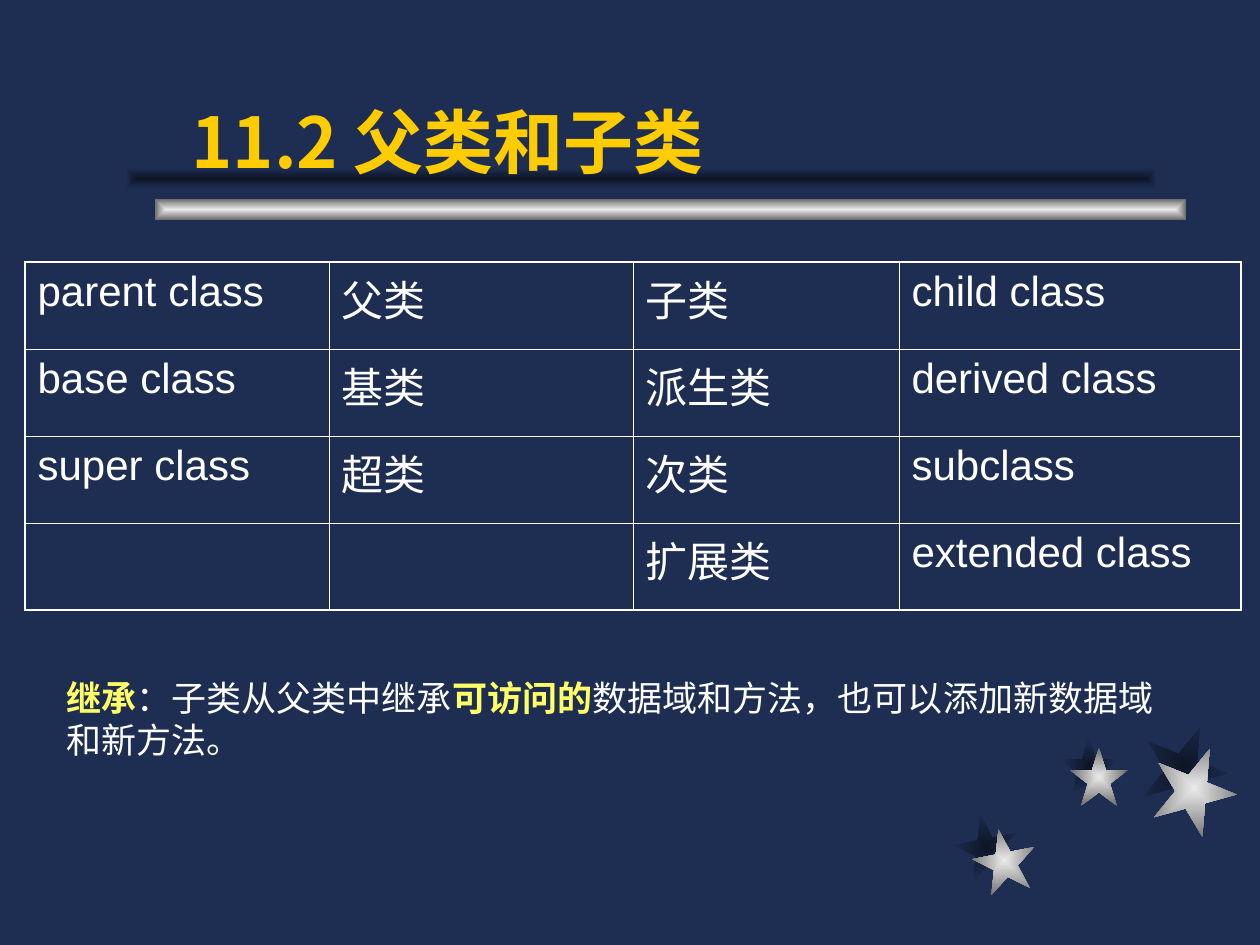
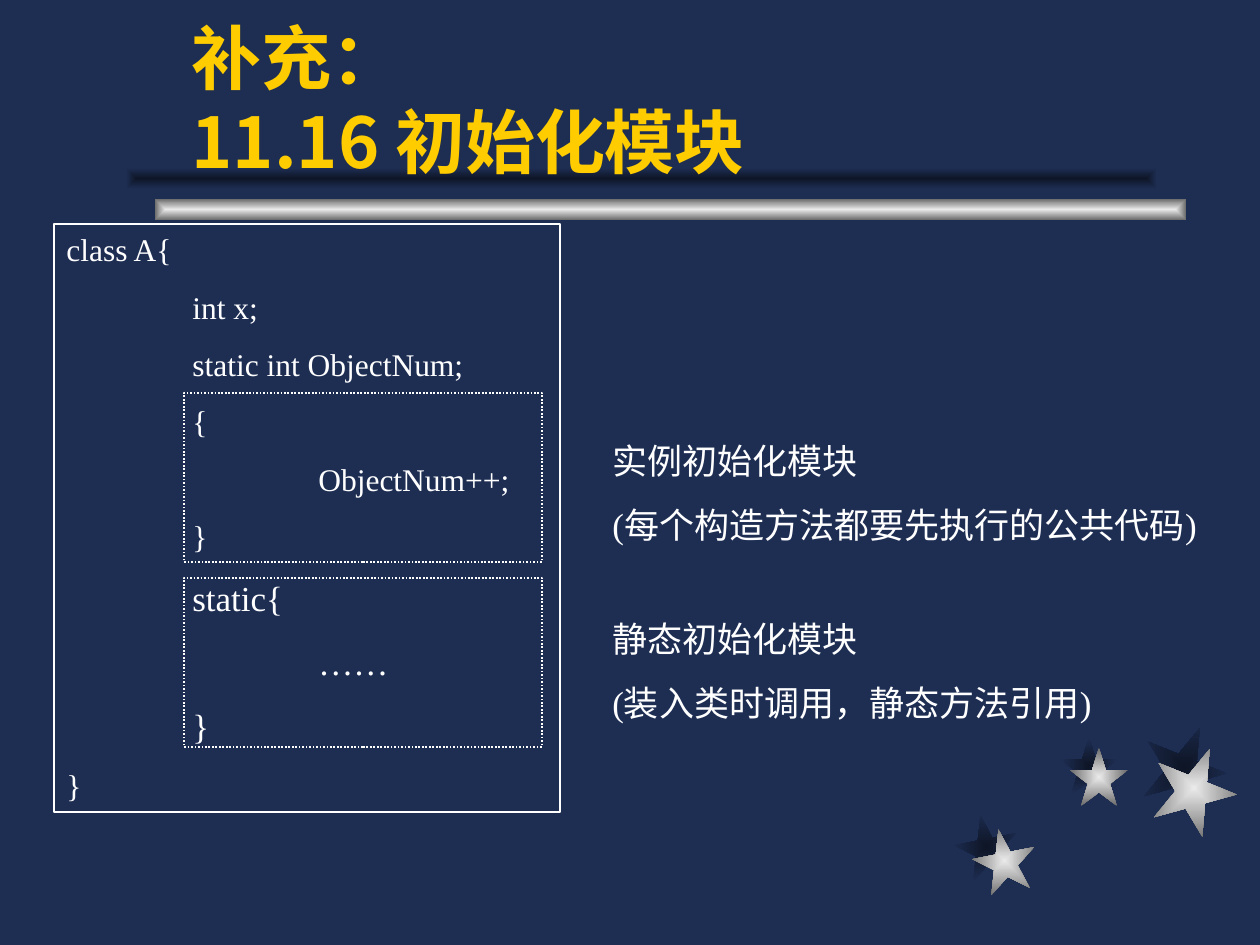
"""Build two dark blue slides on parent classes, child classes and initialization blocks."""
from lxml import etree
from pptx import Presentation, util as u
from pptx.dml.color import RGBColor
from pptx.enum import dml, shapes, text
from pptx.oxml import parse_xml
from pptx.oxml.ns import nsdecls, qn

PX = 7257
NAVY, SHADE, SILVER, GREY = "1E2E53", "0E1526", "EAEAEA", "6C6C6C"
WHITE, GOLD, YELLOW = "FFFFFF", "FFCC00", "FFFF66"
SANS, SERIF, CJK = "Arial", "Times New Roman", "Noto Sans CJK SC"


def rgb(value):
    return RGBColor.from_string(value)


def add_run(p, words, size, font=SERIF, color=WHITE, bold=False):
    r = p.add_run()
    r.text = words
    r.font.size, r.font.name, r.font.bold = u.Pt(size), font, bold
    r.font.color.rgb = rgb(color)
    if font == CJK:
        etree.SubElement(r.font._element, qn("a:ea"), typeface=CJK)


prs = Presentation()
prs.slide_width, prs.slide_height = u.Inches(10), u.Inches(7.5)
layout = prs.slide_layouts[5]
layout.background.fill.solid()
layout.background.fill.fore_color.rgb = rgb(NAVY)

titles = [["11.2 父类和子类"], ["补充：", "11.16 初始化模块"]]
for lines in titles:
    s = prs.slides.add_slide(layout)
    sp = s.shapes.title
    sp.left, sp.top, sp.width, sp.height = 179 * PX, 32 * PX, 987 * PX, 157 * PX
    tf = sp.text_frame
    tf.word_wrap, tf.auto_size = True, text.MSO_AUTO_SIZE.NONE
    tf.vertical_anchor = text.MSO_ANCHOR.BOTTOM
    p = tf.paragraphs[0]
    p.alignment = text.PP_ALIGN.LEFT
    for i, line in enumerate(lines):
        if i:
            p.add_line_break()
        add_run(p, line, 40, CJK, GOLD, True)
classes, blocks = prs.slides

STAR, BAR = shapes.MSO_SHAPE.STAR_5_POINT, shapes.MSO_SHAPE.RECTANGLE
dark, light = (SHADE, NAVY), (SILVER, GREY)
decor = [
    (STAR, 955, 815, 63, 63, 349, dark),
    (STAR, 1060, 737, 58, 58, 0, dark),
    (STAR, 1142, 725, 84, 84, 22, dark),
    (STAR, 973, 829, 63, 63, 349, light),
    (STAR, 1070, 748, 58, 58, 0, light),
    (STAR, 1152, 746, 84, 84, 22, light),
    (BAR, 155, 199, 1031, 21, 0, light),
    (BAR, 126, 168, 1031, 21, 0, dark),
]
for kind, x, y, w, h, turn, (inner, outer) in decor:
    sp = classes.shapes.add_shape(kind, x * PX, y * PX, w * PX, h * PX)
    sp.rotation = turn
    sp.line.fill.background()
    sp.shadow.inherit = False
    geometry = sp.element.spPr.find(qn("a:prstGeom"))
    geometry.addnext(parse_xml(
        f'<a:gradFill {nsdecls("a")} rotWithShape="1"><a:gsLst>'
        f'<a:gs pos="0"><a:srgbClr val="{inner}"/></a:gs>'
        f'<a:gs pos="100000"><a:srgbClr val="{outer}"/></a:gs></a:gsLst>'
        '<a:path path="rect"><a:fillToRect l="50000" t="50000" r="50000" b="50000"/></a:path>'
        '</a:gradFill>'))
    layout.shapes.element.append(sp.element)

terms = [
    ["parent class", "父类", "子类", "child class"],
    ["base class", "基类", "派生类", "derived class"],
    ["super class", "超类", "次类", "subclass"],
    ["", "", "扩展类", "extended class"],
]
widths = [304, 304, 266, 342]
row_height = 87
table = classes.shapes.add_table(4, 4, 25 * PX, 262 * PX, sum(widths) * PX, 4 * row_height * PX).table
table.first_row = table.horz_banding = False
for column, width in zip(table.columns, widths):
    column.width = width * PX
for i, row in enumerate(terms):
    table.rows[i].height = row_height * PX
    for j, term in enumerate(row):
        cell = table.cell(i, j)
        tcPr = cell._tc.get_or_add_tcPr()
        for side, outside in (("L", j == 0), ("R", j == 3), ("T", i == 0), ("B", i == 3)):
            tcPr.append(parse_xml(
                f'<a:ln{side} {nsdecls("a")} w="{u.Pt(1.08 if outside else 0.45)}">'
                f'<a:solidFill><a:srgbClr val="{WHITE}"/></a:solidFill></a:ln{side}>'))
        cell.fill.background()
        if term:
            add_run(cell.text_frame.paragraphs[0], term, 24, SANS)

tf = classes.shapes.add_textbox(54 * PX, 670 * PX, 1121 * PX, 97 * PX).text_frame
tf.word_wrap = True
p = tf.paragraphs[0]
for words, strong in [("继承", True), ("：子类从父类中继承", False), ("可访问的", True),
                      ("数据域和方法，也可以添加新数据域和新方法。", False)]:
    add_run(p, words, 20, color=YELLOW if strong else WHITE, bold=strong)

tab_step = 126
code = [
    ("class A{", 18), ("\tint x;", 18), ("\tstatic int ObjectNum;", 18),
    ("\t{", 18), ("\t\tObjectNum++;", 18), ("\t}", 18),
    ("\tstatic{", 20), ("\t\t……", 20), ("\t}", 20), ("}", 18),
]
instance_note = [("实例初始化模块", 20), ("(每个构造方法都要先执行的公共代码)", 20)]
static_note = [("静态初始化模块", 20), ("(装入类时调用，静态方法引用)", 20)]
boxes = [
    (54, 224, 506, 588, "solid", code),
    (184, 393, 358, 169, "dotted", []),
    (184, 578, 358, 169, "dotted", []),
    (600, 433, 615, 161, None, instance_note),
    (600, 611, 546, 118, None, static_note),
]
for x, y, w, h, border, lines in boxes:
    at = x * PX, y * PX, w * PX, h * PX
    if border:
        sp = blocks.shapes.add_shape(BAR, *at)
        sp.shadow.inherit = False
        sp.fill.background()
        sp.line.color.rgb = rgb(WHITE)
        sp.line.width = u.Pt(1)
        if border == "dotted":
            sp.line.dash_style = dml.MSO_LINE.ROUND_DOT
    else:
        sp = blocks.shapes.add_textbox(*at)
    tf = sp.text_frame
    tf.word_wrap = True
    tf.vertical_anchor = text.MSO_ANCHOR.TOP
    for i, (line, size) in enumerate(lines):
        p = tf.paragraphs[0] if i == 0 else tf.add_paragraph()
        depth = line.count("\t")
        if depth:
            tabs = etree.SubElement(p._p.get_or_add_pPr(), qn("a:tabLst"))
            for stop in range(1, depth + 1):
                etree.SubElement(tabs, qn("a:tab"), pos=str(stop * tab_step * PX), algn="l")
        p.alignment = text.PP_ALIGN.LEFT
        if i:
            p.space_before = u.Pt(12.5 if size == 20 else 11.2)
        add_run(p, line, size)

prs.save("out.pptx")
